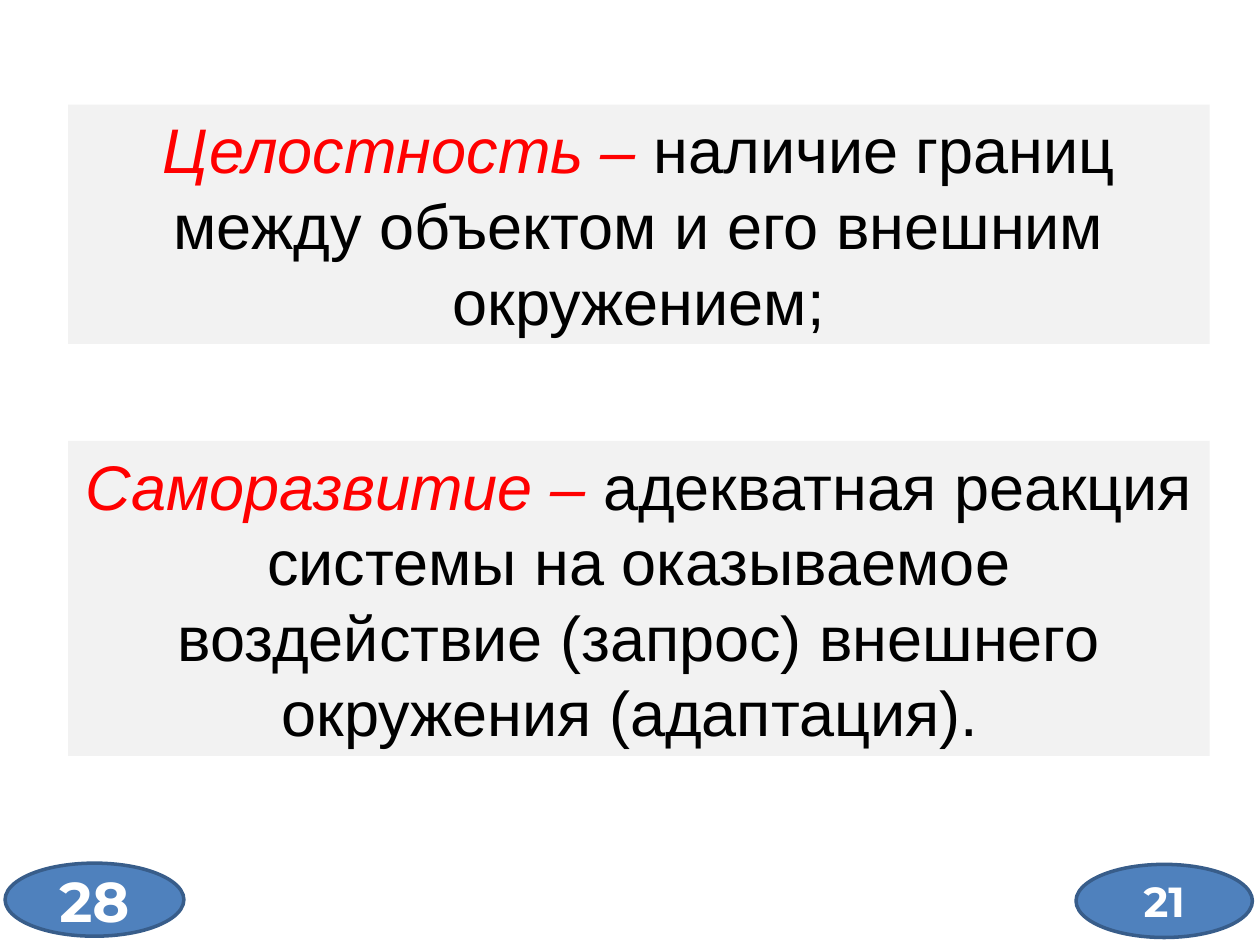
from dataclasses import dataclass

from pptx import Presentation
from pptx.dml.color import RGBColor
from pptx.enum.shapes import MSO_SHAPE
from pptx.enum.text import MSO_ANCHOR, MSO_AUTO_SIZE, PP_ALIGN
from pptx.slide import Slide
from pptx.util import Pt


@dataclass(frozen=True)
class Theme:
    panel: RGBColor = RGBColor(0xF2, 0xF2, 0xF2)
    term: RGBColor = RGBColor(0xFF, 0x00, 0x00)
    text: RGBColor = RGBColor(0x00, 0x00, 0x00)
    badge: RGBColor = RGBColor(0x4F, 0x81, 0xBD)
    badge_line: RGBColor = RGBColor(0x38, 0x5D, 0x8A)
    badge_text: RGBColor = RGBColor(0xFF, 0xFF, 0xFF)
    body_font: str = "Arial"
    badge_font: str = "Montserrat"
    body_size: int = 36
    badge_line_width: int = 2


@dataclass(frozen=True)
class Definition:
    term: str
    meaning: str
    top: float
    height: float


@dataclass(frozen=True)
class Badge:
    number: str
    left: float
    top: float
    width: float
    size: int


THEME = Theme()
PANEL_LEFT, PANEL_WIDTH = 38.9, 652.3
BADGE_HEIGHT = 41.8

DEFINITIONS = (
    Definition(
        "Целостность – ",
        "наличие границ между объектом и его внешним окружением;",
        59.8,
        136.8,
    ),
    Definition(
        "Саморазвитие – ",
        "адекватная реакция системы на оказываемое воздействие (запрос) "
        "внешнего окружения (адаптация). ",
        252,
        180,
    ),
)

BADGES = (
    Badge("21", 614.9, 493.9, 100.8, 24),
    Badge("28", 2.9, 493.2, 102.2, 32),
)


def add_definition(slide: Slide, definition: Definition) -> None:
    """Draw a grey panel with a red italic term and its meaning."""
    shape = slide.shapes.add_textbox(
        Pt(PANEL_LEFT), Pt(definition.top), Pt(PANEL_WIDTH), Pt(definition.height)
    )
    shape.fill.solid()
    shape.fill.fore_color.rgb = THEME.panel
    frame = shape.text_frame
    frame.word_wrap = True
    frame.auto_size = MSO_AUTO_SIZE.SHAPE_TO_FIT_TEXT
    paragraph = frame.paragraphs[0]
    paragraph.alignment = PP_ALIGN.CENTER
    paragraph.font.name = THEME.body_font
    paragraph.font.size = Pt(THEME.body_size)
    parts = (
        (definition.term, THEME.term, True),
        (definition.meaning, THEME.text, False),
    )
    for text, color, italic in parts:
        run = paragraph.add_run()
        run.text = text
        run.font.color.rgb = color
        run.font.italic = italic


def add_badge(slide: Slide, badge: Badge) -> None:
    """Draw a blue oval holding a number."""
    shape = slide.shapes.add_shape(
        MSO_SHAPE.OVAL, Pt(badge.left), Pt(badge.top), Pt(badge.width), Pt(BADGE_HEIGHT)
    )
    shape.shadow.inherit = False
    shape.fill.solid()
    shape.fill.fore_color.rgb = THEME.badge
    shape.line.color.rgb = THEME.badge_line
    shape.line.width = Pt(THEME.badge_line_width)
    frame = shape.text_frame
    frame.vertical_anchor = MSO_ANCHOR.MIDDLE
    paragraph = frame.paragraphs[0]
    paragraph.text = badge.number
    paragraph.alignment = PP_ALIGN.CENTER
    paragraph.font.name = THEME.badge_font
    paragraph.font.size = Pt(badge.size)
    paragraph.font.bold = True
    paragraph.font.color.rgb = THEME.badge_text


def main() -> None:
    """Build the slide and save the presentation."""
    presentation = Presentation()
    presentation.slide_width = Pt(720)
    presentation.slide_height = Pt(540)
    slide = presentation.slides.add_slide(presentation.slide_layouts[6])
    for definition in DEFINITIONS:
        add_definition(slide, definition)
    for badge in BADGES:
        add_badge(slide, badge)
    presentation.save("out.pptx")


if __name__ == "__main__":
    main()
